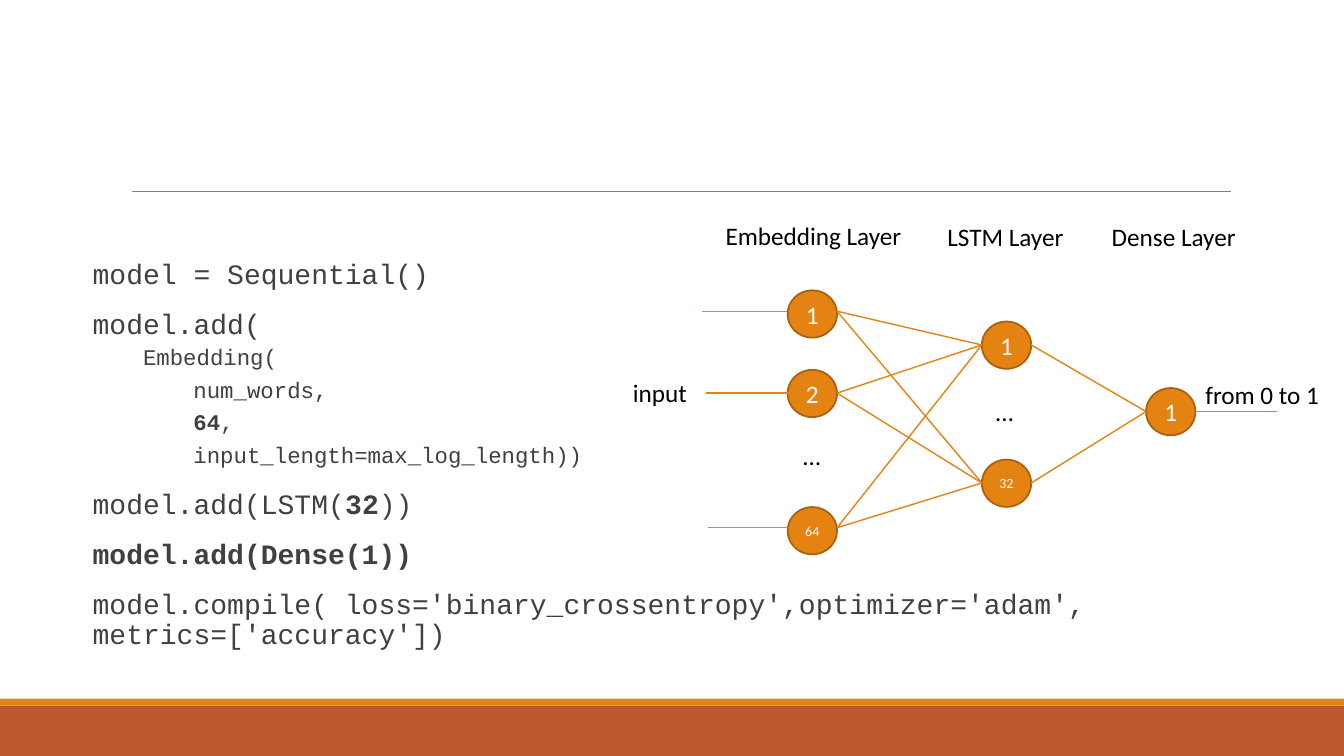
"""Build a slide pairing Keras model code with a diagram of its layers."""
from itertools import product

from pptx import Presentation
from pptx.dml.color import RGBColor
from pptx.enum.shapes import MSO_CONNECTOR, MSO_SHAPE
from pptx.enum.text import MSO_ANCHOR, MSO_AUTO_SIZE, PP_ALIGN
from pptx.oxml.ns import qn
from pptx.util import Pt

ORANGE = RGBColor(0xE4, 0x83, 0x12)
DARK_ORANGE = RGBColor(0xA9, 0x61, 0x0D)
RUST = RGBColor(0xBD, 0x58, 0x2C)
GREY = RGBColor(0x80, 0x80, 0x80)
CODE_GREY = RGBColor(0x40, 0x40, 0x40)
BLACK = RGBColor(0, 0, 0)
WHITE = RGBColor(0xFF, 0xFF, 0xFF)

CODE = [
    (0, [("model = Sequential()", False)]),
    (0, [("model.add(", False)]),
    (1, [("Embedding(", False)]),
    (2, [("num_words,", False)]),
    (2, [("64", True), (",", False)]),
    (2, [("input_length=max_log_length))", False)]),
    (0, [("model.add(LSTM(", False), ("32", True), ("))", False)]),
    (0, [("model.add(Dense(1))", True)]),
    (0, [("model.compile( loss='binary_crossentropy',optimizer='adam', "
          "metrics=['accuracy'])", False)]),
]
# Each node: label, top, height of its wires
LAYERS = [
    (562.6, [("1", 207.4, 222.3), ("2", 264.2, 280.8), ("64", 362.2, 377)]),
    (701.3, [("1", 229.7, 246.4), ("32", 328.3, 345)]),
    (818.6, [("1", 277.2, 294)]),
]
LABELS = [
    ("Embedding Layer", 511.2, 154.1, 141.8),
    ("LSTM Layer", 669.6, 154.8, 98.6),
    ("Dense Layer", 787, 154.8, 104.4),
    ("input", 445, 265.7, 53.3),
    ("from 0 to 1", 853.9, 267.1, 96.5),
    ("…", 566.6, 311, 27.4),
    ("…", 704.2, 279.4, 27.4),
]
INPUT_STARTS = [501.1, 504, 505.4]
NODE_W, NODE_H = 35.3, 33.8
WIRE_LEN = 61


def style_run(r, font, size, color, bold=False):
    r.font.name = font
    r.font.size = Pt(size)
    r.font.color.rgb = color
    r.font.bold = bold


def add_line(s, x1, y1, x2, y2, color=ORANGE, width=1):
    c = s.shapes.add_connector(MSO_CONNECTOR.STRAIGHT, Pt(x1), Pt(y1), Pt(x2), Pt(y2))
    c.line.color.rgb = color
    c.line.width = Pt(width)
    sp_pr = c._element.spPr
    sp_pr.append(sp_pr.makeelement(qn("a:effectLst"), {}))


def add_band(s, top, height, color):
    sp = s.shapes.add_shape(MSO_SHAPE.RECTANGLE, 0, Pt(top), Pt(960), Pt(height))
    sp.shadow.inherit = False
    sp.fill.solid()
    sp.fill.fore_color.rgb = color
    sp.line.fill.background()


def add_node(s, label, x, y):
    sp = s.shapes.add_shape(MSO_SHAPE.OVAL, Pt(x), Pt(y), Pt(NODE_W), Pt(NODE_H))
    sp.shadow.inherit = False
    sp.fill.solid()
    sp.fill.fore_color.rgb = ORANGE
    sp.line.color.rgb = DARK_ORANGE
    sp.line.width = Pt(1.25)
    tf = sp.text_frame
    tf.text = label
    tf.vertical_anchor = MSO_ANCHOR.MIDDLE
    p = tf.paragraphs[0]
    p.alignment = PP_ALIGN.CENTER
    style_run(p.runs[0], "Calibri", 18 if len(label) == 1 else 10, WHITE)


def add_label(s, text, x, y, width):
    tf = s.shapes.add_textbox(Pt(x), Pt(y), Pt(width), Pt(29)).text_frame
    tf.word_wrap = False
    tf.auto_size = MSO_AUTO_SIZE.SHAPE_TO_FIT_TEXT
    tf.text = text
    style_run(tf.paragraphs[0].runs[0], "Calibri", 18, BLACK)


def fill_code(body):
    body.left, body.top, body.width, body.height = Pt(66.2), Pt(144), Pt(886.3), Pt(342.7)
    tf = body.text_frame
    tf.word_wrap = True
    tf.auto_size = MSO_AUTO_SIZE.NONE
    tf.vertical_anchor = MSO_ANCHOR.TOP
    tf.margin_left = tf.margin_right = 0
    tf.margin_top, tf.margin_bottom = Pt(42), Pt(3.6)
    for i, (level, parts) in enumerate(CODE):
        p = tf.add_paragraph() if i else tf.paragraphs[0]
        p.level = level
        p.line_spacing = 0.9
        before, after = (2, 4) if level else (12, 2)
        p.space_before, p.space_after = Pt(before if i else 0), Pt(after)
        p_pr = p._p.get_or_add_pPr()
        p_pr.set("marL", str(int(Pt(36 * level))))
        p_pr.set("indent", "0")
        p_pr.append(p_pr.makeelement(qn("a:buNone"), {}))
        for text, bold in parts:
            r = p.add_run()
            r.text = text
            style_run(r, "Courier New", 16 if level else 20, CODE_GREY, bold)


def main():
    prs = Presentation()
    prs.slide_width, prs.slide_height = Pt(960), Pt(540)
    s = prs.slides.add_slide(prs.slide_layouts[1])
    title = s.shapes.title._element
    title.getparent().remove(title)
    fill_code(s.placeholders[1])

    add_band(s, 504, 36, RUST)
    add_band(s, 499, 5, ORANGE)
    add_line(s, 94.3, 136.8, 879.1, 136.8, GREY, 0.5)

    for x, nodes in LAYERS:
        for label, top, _ in nodes:
            add_node(s, label, x, top)
    for (x1, sources), (x2, targets) in zip(LAYERS, LAYERS[1:]):
        for (_, _, y1), (_, _, y2) in product(sources, targets):
            add_line(s, x1 + NODE_W, y1, x2, y2)
    for x, (_, _, y) in zip(INPUT_STARTS, LAYERS[0][1]):
        add_line(s, x, y, x + WIRE_LEN, y)
    x, [(_, _, y)] = LAYERS[-1]
    add_line(s, x + NODE_W, y, x + NODE_W + WIRE_LEN - 3, y)

    for label in LABELS:
        add_label(s, *label)
    prs.save("out.pptx")


if __name__ == "__main__":
    main()
